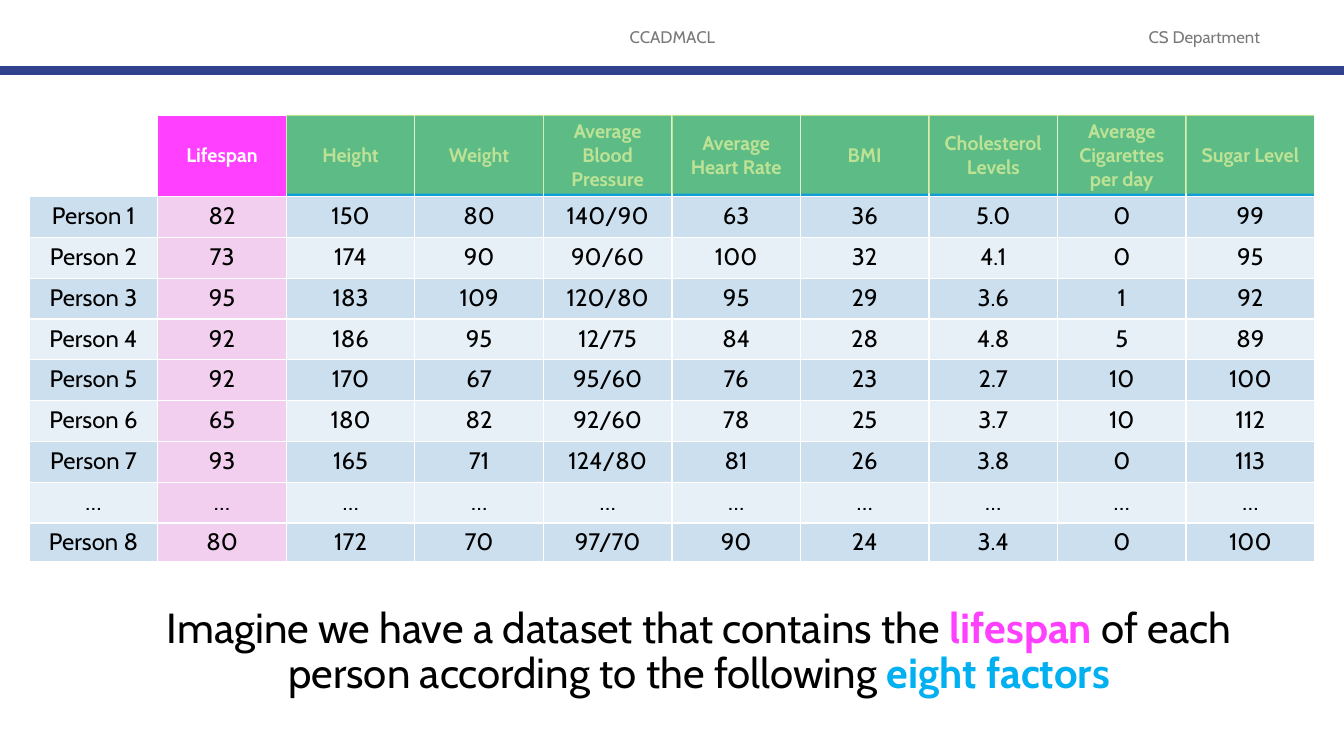
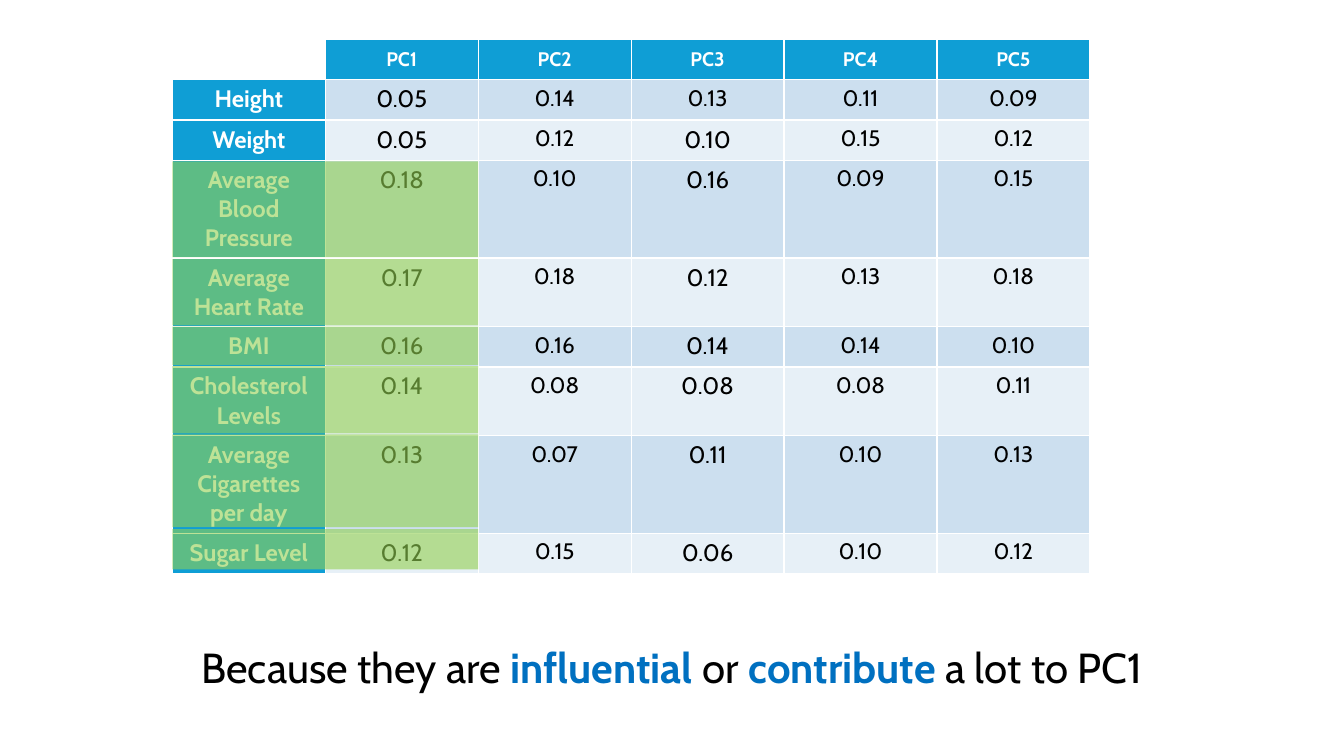
from lxml.etree import SubElement
from pptx import Presentation
from pptx.dml.color import RGBColor
from pptx.enum.shapes import MSO_CONNECTOR, MSO_SHAPE
from pptx.enum.text import MSO_ANCHOR, PP_ALIGN
from pptx.oxml.ns import qn
from pptx.util import Inches, Pt

WIDE, HIGH = 13.33, 7.5
FONT = "Cabin"
BLACK, WHITE, GREY, NAVY = "000000", "FFFFFF", "797979", "32418C"
BLUE, PINK, GREEN = "0F9ED5", "FF40FF", "92D050"
ROSE, SKY, DEEP = "F2CFEE", "00B0F0", "0070C0"
BANDS = ["E7F0F7", "CCDFEF"]
FACTORS = ["Height", "Weight", "Average Blood Pressure", "Average Heart Rate",
           "BMI", "Cholesterol Levels", "Average Cigarettes per day", "Sugar Level"]
PEOPLE = [
    ["Person 1", "82", "150", "80", "140/90", "63", "36", "5.0", "0", "99"],
    ["Person 2", "73", "174", "90", "90/60", "100", "32", "4.1", "0", "95"],
    ["Person 3", "95", "183", "109", "120/80", "95", "29", "3.6", "1", "92"],
    ["Person 4", "92", "186", "95", "12/75", "84", "28", "4.8", "5", "89"],
    ["Person 5", "92", "170", "67", "95/60", "76", "23", "2.7", "10", "100"],
    ["Person 6", "65", "180", "82", "92/60", "78", "25", "3.7", "10", "112"],
    ["Person 7", "93", "165", "71", "124/80", "81", "26", "3.8", "0", "113"],
    ["…"] * 10,
    ["Person 8", "80", "172", "70", "97/70", "90", "24", "3.4", "0", "100"],
]
LOADS = [
    ["0.05", "0.14", "0.13", "0.11", "0.09"],
    ["0.05", "0.12", "0.10", "0.15", "0.12"],
    ["0.18", "0.10", "0.16", "0.09", "0.15"],
    ["0.17", "0.18", "0.12", "0.13", "0.18"],
    ["0.16", "0.16", "0.14", "0.14", "0.10"],
    ["0.14", "0.08", "0.08", "0.08", "0.11"],
    ["0.13", "0.07", "0.11", "0.10", "0.13"],
    ["0.12", "0.15", "0.06", "0.10", "0.12"],
]


def paint(color, tint):
    """Give a fill or font colour its hex value."""
    color.rgb = RGBColor.from_string(tint)


def style(run, size, tint, bold=False):
    """Set the font of one run."""
    run.font.name, run.font.size, run.font.bold = FONT, Pt(size), bold
    paint(run.font.color, tint)


def label(slide, box, parts, size):
    """Add a centred text box from (text, colour, bold) parts."""
    frame = slide.shapes.add_textbox(*map(Inches, box)).text_frame
    frame.word_wrap = True
    frame.vertical_anchor = MSO_ANCHOR.MIDDLE
    para = frame.paragraphs[0]
    para.alignment = PP_ALIGN.CENTER
    for text, tint, bold in parts:
        run = para.add_run()
        run.text = text
        style(run, size, tint, bold)
    return para


def caption(slide, box, parts):
    """Add the large statement below a table."""
    para = label(slide, box, parts, 30)
    para.line_spacing, para.space_before = 0.9, Pt(10)


def band(slide):
    """Add the course header and its rule."""
    label(slide, (4.42, 0.17, 4.5, 0.4), [("CCADMACL", GREY, False)], 12)
    label(slide, (10.92, 0.17, 2.05, 0.4), [("CS Department", GREY, False)], 12)
    rule = slide.shapes.add_connector(
        MSO_CONNECTOR.STRAIGHT, 0, Inches(0.7), Inches(WIDE), Inches(0.7))
    rule.line.width = Pt(6)
    paint(rule.line.color, NAVY)
    SubElement(rule._element.spPr, qn("a:effectLst"))


def grid(slide, left, top, width, highs, rows, look):
    """Add a table; look(row, col) gives fill, size, colour and weight."""
    count = len(rows[0])
    table = slide.shapes.add_table(
        len(rows), count, Inches(left), Inches(top),
        Inches(width), Inches(sum(highs))).table
    for col in table.columns:
        col.width = Inches(width / count)
    for r, (row, high) in enumerate(zip(rows, highs)):
        table.rows[r].height = Inches(high)
        for c, text in enumerate(row):
            cell = table.cell(r, c)
            if not text:
                cell.fill.background()
                continue
            fill, *font = look(r, c)
            cell.fill.solid()
            paint(cell.fill.fore_color, fill)
            if r == 0:
                cell.vertical_anchor = MSO_ANCHOR.MIDDLE
            para = cell.text_frame.paragraphs[0]
            para.text = text
            para.alignment = PP_ALIGN.CENTER
            style(para.runs[0], *font)


def veil(slide, *box):
    """Add a see-through green highlight."""
    shape = slide.shapes.add_shape(MSO_SHAPE.RECTANGLE, *map(Inches, box))
    shape.shadow.inherit = False
    shape.line.fill.background()
    shape.fill.solid()
    paint(shape.fill.fore_color, GREEN)
    tint = shape._element.spPr.find(qn("a:solidFill"))[0]
    SubElement(tint, qn("a:alpha"), val="60000")


def person(r, c):
    """Style a cell of the lifespan table."""
    if r == 0:
        return PINK if c == 1 else BLUE, 14, WHITE, True
    return ROSE if c == 1 else BANDS[r % 2], 17, BLACK, False


def load(r, c):
    """Style a cell of the component table."""
    if r == 0 or c == 0:
        return BLUE, 17 if r else 14, WHITE, True
    large = c == 1 or (c == 3 and r > 1)
    return BANDS[r % 2], 17 if large else 16, BLACK, False


def lifespan(slide):
    """Build the dataset slide."""
    left, top, width = 0.29, 1.14, 12.75
    step = width / 10
    band(slide)
    grid(slide, left, top, width, [0.81] + [3.24 / 8] * 8 + [0.38],
         [["", "Lifespan"] + FACTORS] + PEOPLE, person)
    caption(slide, (1.16, 6.04, 11.55, 0.87), [
        ("Imagine we have a dataset that contains the ", BLACK, False),
        ("lifespan", PINK, True),
        (" of each person according to the following ", BLACK, False),
        ("eight factors", SKY, True)])
    for i in range(len(FACTORS)):
        veil(slide, left + step * (i + 2), top, 1.27, 0.78)


def parts(slide):
    """Build the component slide."""
    left, top, width = 1.71, 0.39, 9.1
    one, two, three = 0.4, 0.68, 0.97
    caption(slide, (0.4, 5.91, 12.53, 1.47), [
        ("Because they are ", BLACK, False), ("influential", DEEP, True),
        (" or ", BLACK, False), ("contribute", DEEP, True),
        (" a lot to PC1", BLACK, False)])
    head = [""] + [f"PC{i}" for i in range(1, 6)]
    body = [[name] + row for name, row in zip(FACTORS, LOADS)]
    grid(slide, left, top, width,
         [one, one, one, three, two, one, two, three, one], [head] + body, load)
    for y, high in [(1.6, 0.95), (2.57, 0.66), (3.24, 0.38),
                    (3.63, 0.67), (4.31, 0.92), (5.25, 0.4)]:
        veil(slide, left, y, width / 3, high)


def main():
    """Build and save the deck."""
    deck = Presentation()
    deck.slide_width, deck.slide_height = Inches(WIDE), Inches(HIGH)
    for build in (lifespan, parts):
        build(deck.slides.add_slide(deck.slide_layouts[6]))
    deck.save("out.pptx")


if __name__ == "__main__":
    main()
